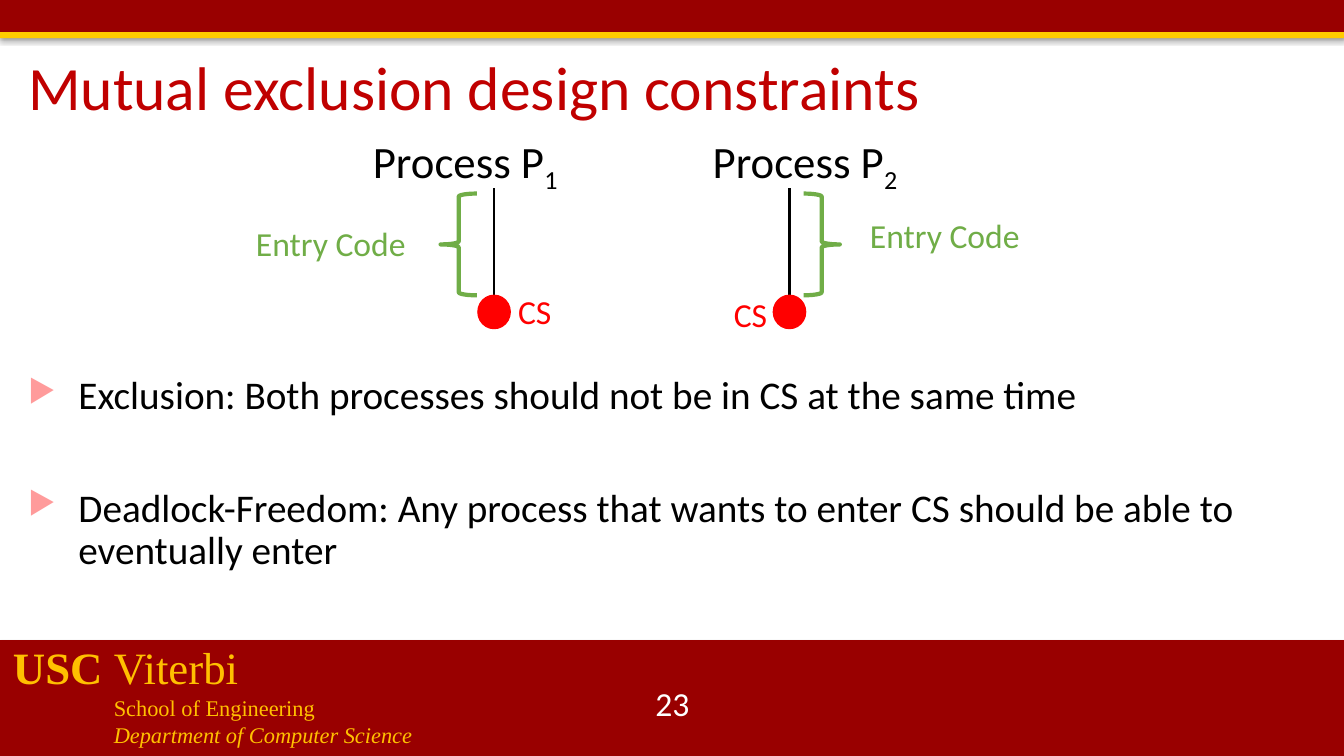
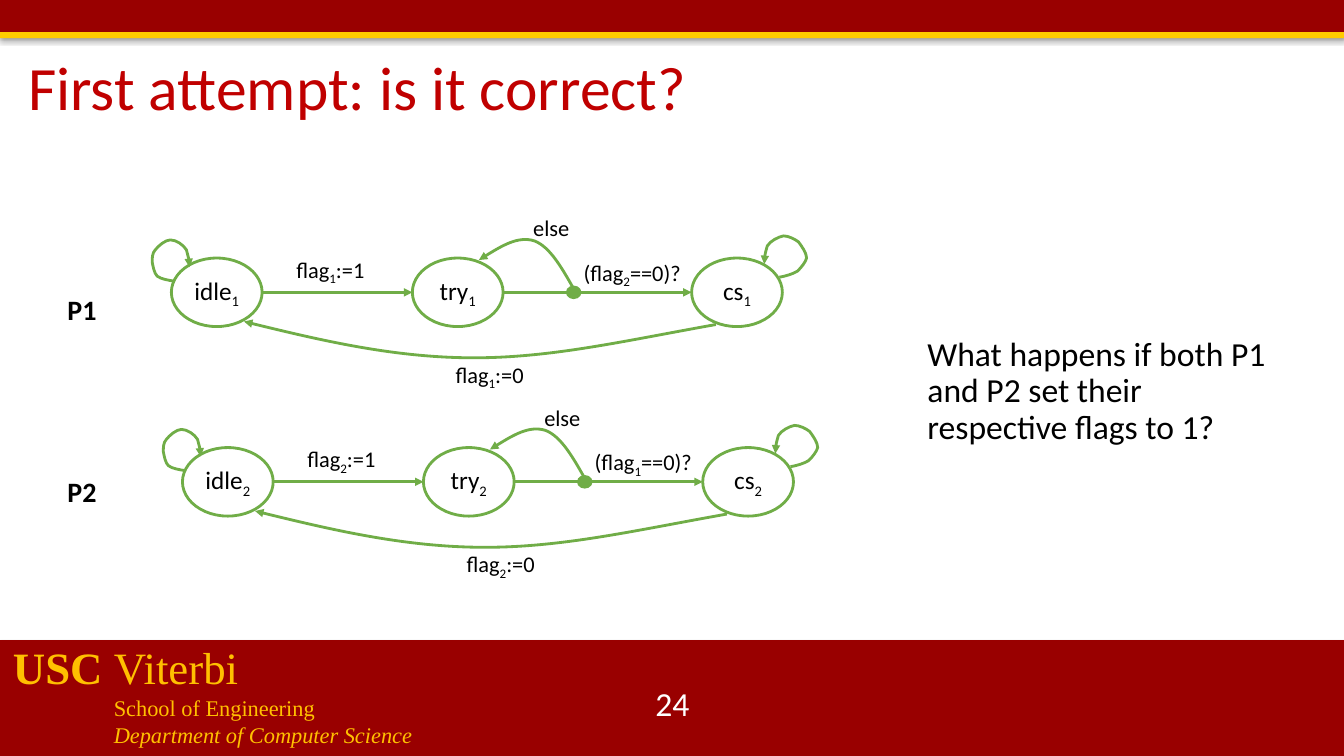
import pptx
import pptx.dml.color
import pptx.enum.shapes
import pptx.enum.text
import pptx.oxml
import pptx.oxml.ns
import pptx.util
from lxml import etree

PX = 9144  # EMU per px, 100 px to the inch
WIDTH, HEIGHT = 1333, 750

CARDINAL, GOLD, FOOTER_GOLD = "990000", "FFCC00", "FFC000"
TITLE_RED, BULLET_PINK, SIGNAL_RED = "C00000", "FF9B9B", "FF0000"
GREEN, BLACK, WHITE = "70AD47", "000000", "FFFFFF"
SANS, SERIF = "Calibri", "Times New Roman"

SHAPE = pptx.enum.shapes.MSO_SHAPE
MIDDLE = pptx.enum.text.MSO_ANCHOR.MIDDLE
CENTER = pptx.enum.text.PP_ALIGN.CENTER


def rgb(hex_string):
    return pptx.dml.color.RGBColor.from_string(hex_string)


def px(*lengths):
    return [pptx.util.Emu(length * PX) for length in lengths]


def add_xml(parent, tag, **attributes):
    child = etree.SubElement(parent, pptx.oxml.ns.qn(tag))
    for key, value in attributes.items():
        child.set(key, str(value))
    return child


def style_font(font, size, color, name=SANS, bold=False, italic=False):
    font.size = pptx.util.Pt(size)
    font.color.rgb = rgb(color)
    font.name, font.bold, font.italic = name, bold, italic


def add_runs(paragraph, text, size, color, bold=False):
    """Parts of the text between | signs alternate between normal and subscript."""
    for index, part in enumerate(text.split("|")):
        run = paragraph.add_run()
        run.text = part
        style_font(run.font, size, color, bold=bold)
        if index % 2:
            run._r.get_or_add_rPr().set("baseline", "-25000")


def add_text(slide, box, text, size, color=BLACK, wrap=False, bold=False):
    frame = slide.shapes.add_textbox(*px(*box)).text_frame
    frame.word_wrap = wrap
    add_runs(frame.paragraphs[0], text, size, color, bold)
    return frame


def add_filled(slide, kind, box, fill, line=None, weight=1):
    shape = slide.shapes.add_shape(kind, *px(*box))
    shape.shadow.inherit = False
    if fill:
        shape.fill.solid()
        shape.fill.fore_color.rgb = rgb(fill)
    else:
        shape.fill.background()
    if line:
        style_line(shape.line, line, weight)
    else:
        shape.line.fill.background()
    return shape


def style_line(line, color, weight, arrow=False):
    line.color.rgb = rgb(color)
    line.width = pptx.util.Pt(weight)
    if arrow:
        add_xml(line._get_or_add_ln(), "a:tailEnd", type="triangle")


def add_line(slide, start, end, color, arrow=False):
    straight = pptx.enum.shapes.MSO_CONNECTOR.STRAIGHT
    line = slide.shapes.add_connector(straight, *px(*start, *end))
    add_xml(line._element.spPr, "a:effectLst")
    style_line(line.line, color, 2, arrow)


def add_curved_arrow(slide, points, color):
    """Bezier arrow: a start point, then three points for each segment."""
    builder = slide.shapes.build_freeform(*points[0], scale=PX)
    builder.add_line_segments(points[1:], close=False)
    curve = builder.convert_to_shape()
    curve.shadow.inherit = False
    curve.fill.background()
    style_line(curve.line, color, 2, arrow=True)
    outline = curve._element.find(".//" + pptx.oxml.ns.qn("a:path"))
    steps = outline.findall(pptx.oxml.ns.qn("a:lnTo"))
    for first in range(0, len(steps), 3):
        segment = add_xml(outline, "a:cubicBezTo")
        for step in steps[first:first + 3]:
            segment.append(step[0])
            outline.remove(step)


def add_band(slide, box, fill, opacity):
    band = add_filled(slide, SHAPE.RECTANGLE, box, fill)
    effects = band._element.spPr.find(pptx.oxml.ns.qn("a:effectLst"))
    shadow = add_xml(effects, "a:outerShdw", blurRad=39370, dist=22860,
                     dir=5400000, rotWithShape=0)
    color = add_xml(shadow, "a:srgbClr", val=BLACK)
    add_xml(color, "a:alpha", val=opacity * 1000)


def add_footer(slide, top, number):
    add_band(slide, (0, top, WIDTH, HEIGHT - top), CARDINAL, 35)
    frame = slide.shapes.add_textbox(*px(3, top - 5, 625, 118)).text_frame
    frame.word_wrap = True
    school = frame.paragraphs[0]
    for text, bold in (("USC ", True), ("Viterbi", False)):
        run = school.add_run()
        run.text = text
        style_font(run.font, 32, FOOTER_GOLD, SERIF, bold)
    for text, italic in (("School of Engineering", False),
                         ("Department of Computer Science", True)):
        unit = frame.add_paragraph()
        unit.text = text
        unit._p.get_or_add_pPr().set("marL", str(100 * PX))
        style_font(unit.runs[0].font, 16, FOOTER_GOLD, SERIF, italic=italic)
    page = add_text(slide, (517, top + 43, 300, 40), number, 24, WHITE, wrap=True)
    page.vertical_anchor = MIDDLE
    page.paragraphs[0].alignment = CENTER


def add_base_slide(deck, title, number):
    """Blank slide with the shared bands, footer and title."""
    slide = deck.slides.add_slide(deck.slide_layouts[6])
    add_footer(slide, 635, number)
    add_band(slide, (0, 0, WIDTH, 33), CARDINAL, 35)
    add_band(slide, (0, 32, WIDTH, 6), GOLD, 38)
    heading = add_text(slide, (18, 47, 1194, 85), title, 44, TITLE_RED, wrap=True)
    heading.vertical_anchor = MIDDLE
    heading.paragraphs[0].line_spacing = 0.9
    return slide


def add_bullets(slide, box, items):
    frame = slide.shapes.add_textbox(*px(*box)).text_frame
    frame.word_wrap = True
    for index, item in enumerate(items):
        bullet = frame.add_paragraph() if index else frame.paragraphs[0]
        properties = bullet._p.get_or_add_pPr()
        properties.set("marL", str(50 * PX))
        properties.set("indent", str(-50 * PX))
        add_xml(add_xml(properties, "a:buClr"), "a:srgbClr", val=BULLET_PINK)
        add_xml(properties, "a:buSzPct", val=80000)
        add_xml(properties, "a:buChar", char="▶")
        bullet.line_spacing = 0.9
        if index:
            bullet.space_before = pptx.util.Pt(50)
        add_runs(bullet, item, 28, BLACK)


def add_process_column(slide, axis, top, name, brace, lefts, label_tops):
    """Process line ending in its critical section; lefts count from the axis."""
    name_left, brace_left, section_left, entry_left = (axis + left for left in lefts)
    section_top, entry_top = (top + offset for offset in label_tops)
    add_text(slide, (name_left, top, 207, 64), name, 32)
    add_line(slide, (axis, top + 59), (axis, top + 197), BLACK)
    add_filled(slide, SHAPE.OVAL, (axis - 16, top + 165, 32, 33),
               SIGNAL_RED, SIGNAL_RED)
    add_filled(slide, brace, (brace_left, top + 64, 36, 101), None, GREEN, 3)
    add_text(slide, (section_left, section_top, 54, 50), "CS", 24, SIGNAL_RED)
    add_text(slide, (entry_left, entry_top, 170, 50), "Entry Code", 24, GREEN)


def add_state(slide, box, label):
    state = add_filled(slide, SHAPE.OVAL, box, WHITE, GREEN, 2)
    frame = state.text_frame
    frame.margin_left = frame.margin_right = 0
    frame.margin_top = frame.margin_bottom = 0
    frame.vertical_anchor = MIDDLE
    frame.word_wrap = True
    frame.paragraphs[0].alignment = CENTER
    add_runs(frame.paragraphs[0], label, 18, BLACK)


# Bezier points, counted from the top left of the idle state
ARROWS = {
    "else": [(401, 34), (388, 11), (376, -11), (360, -17),
             (344, -22), (324, -10), (305, 2)],
    "release": [(540, 66), (450, 82), (378, 99), (300, 99),
                (222, 99), (145, 81), (72, 63)],
    "stay in cs": [(603, 19), (609, 18), (616, 16), (621, 13),
                   (625, 9), (629, 4), (630, 0),
                   (630, -5), (625, -12), (622, -16),
                   (618, -19), (612, -22), (607, -22),
                   (602, -21), (594, -17), (591, -12),
                   (590, -8), (588, -3), (588, 6)],
    "stay idle": [(3, 23), (-3, 22), (-10, 21), (-14, 18),
                  (-17, 15), (-18, 9), (-19, 4),
                  (-19, 0), (-19, -5), (-16, -8),
                  (-13, -12), (-6, -18), (-1, -18),
                  (5, -18), (12, -13), (15, -8),
                  (16, -4), (18, 1), (18, 9)],
}


def add_state_machine(slide, left, top, own, other):
    """States of process own, which tests the flag of process other."""
    width, height = 90, 68
    idle, trying, critical = left, left + 239, left + 516
    axis = top + height // 2
    for state_left, label in ((idle, "idle"), (trying, "try"), (critical, "cs")):
        add_state(slide, (state_left, top, width, height), f"{label}|{own}")
    for start, end in ((idle, trying), (trying, critical)):
        add_line(slide, (start + width, axis), (end, axis), GREEN, arrow=True)
    for points in ARROWS.values():
        add_curved_arrow(slide, [(left + x, top + y) for x, y in points], GREEN)
    add_filled(slide, SHAPE.OVAL, (left + 392, axis - 6, 14, 12), GREEN, GREEN)
    for x, y, label_width, label in ((114, -7, 89, f"flag|{own}|:=1"),
                                     (272, 97, 89, f"flag|{own}|:=0"),
                                     (399, -4, 119, f"(flag|{other}|==0)?"),
                                     (349, -48, 56, "else")):
        add_text(slide, (left + x, top + y, label_width, 37), label, 16)


def build_constraints_slide(deck):
    slide = add_base_slide(deck, "Mutual exclusion design constraints", "23")
    add_bullets(slide, (18, 368, 1279, 254), (
        "Exclusion: Both processes should not be in CS at the same time",
        "Deadlock-Freedom: Any process that wants to enter CS should be able to "
        "eventually enter"))
    add_process_column(slide, 490, 128, "Process P|1", SHAPE.LEFT_BRACE,
                       (-130, -53, 14, -246), (156, 88))
    add_process_column(slide, 783, 128, "Process P|2", SHAPE.RIGHT_BRACE,
                       (-86, 14, -65, 70), (159, 80))


def build_attempt_slide(deck):
    slide = add_base_slide(deck, "First attempt: is it correct?", "24")
    add_state_machine(slide, 170, 256, own=1, other=2)
    add_state_machine(slide, 181, 444, own=2, other=1)
    for top, name in ((285, "P1"), (466, "P2")):
        add_text(slide, (57, top, 49, 44), name, 20, bold=True)
    question = add_text(
        slide, (910, 330, 371, 132),
        "What happens if both P1 and P2 set their respective flags to 1?",
        24, wrap=True)
    question.paragraphs[0].line_spacing = 0.9


def main():
    deck = pptx.Presentation()
    deck.slide_width, deck.slide_height = px(WIDTH, HEIGHT)
    build_constraints_slide(deck)
    build_attempt_slide(deck)
    deck.save("out.pptx")


if __name__ == "__main__":
    main()
